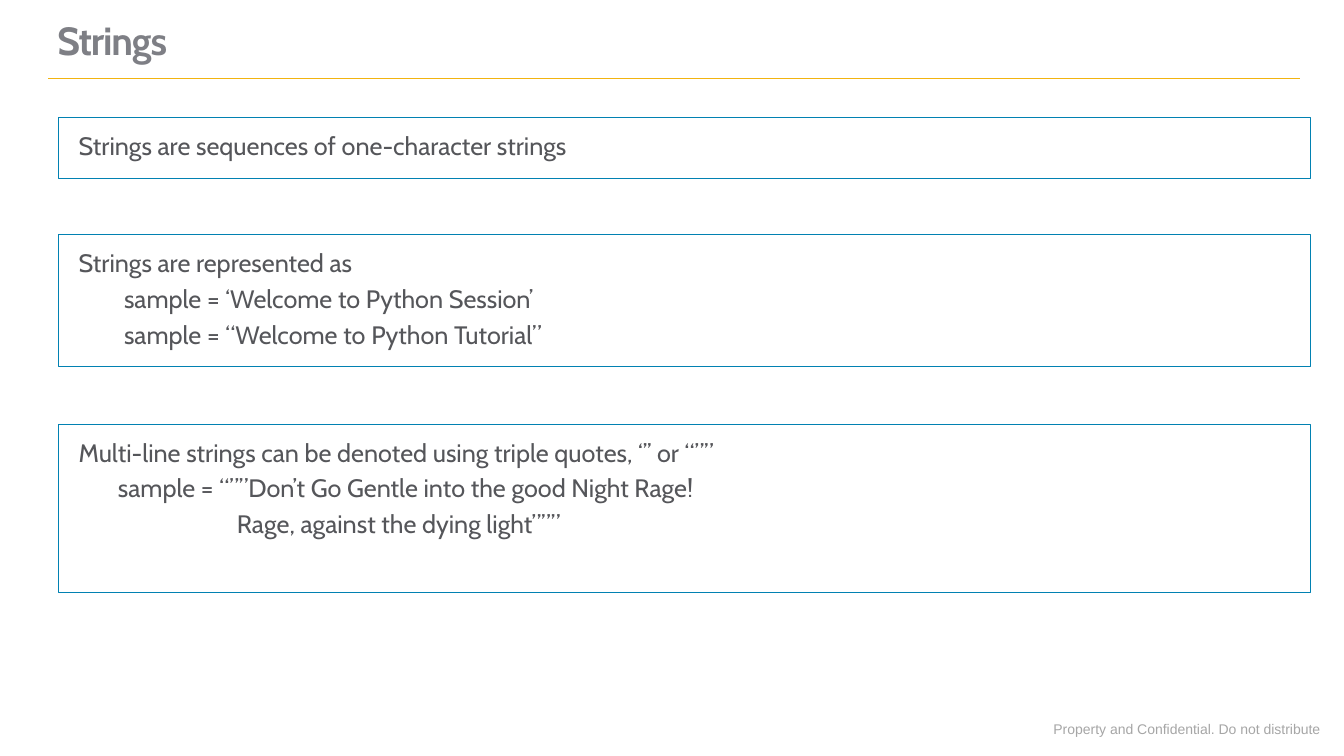
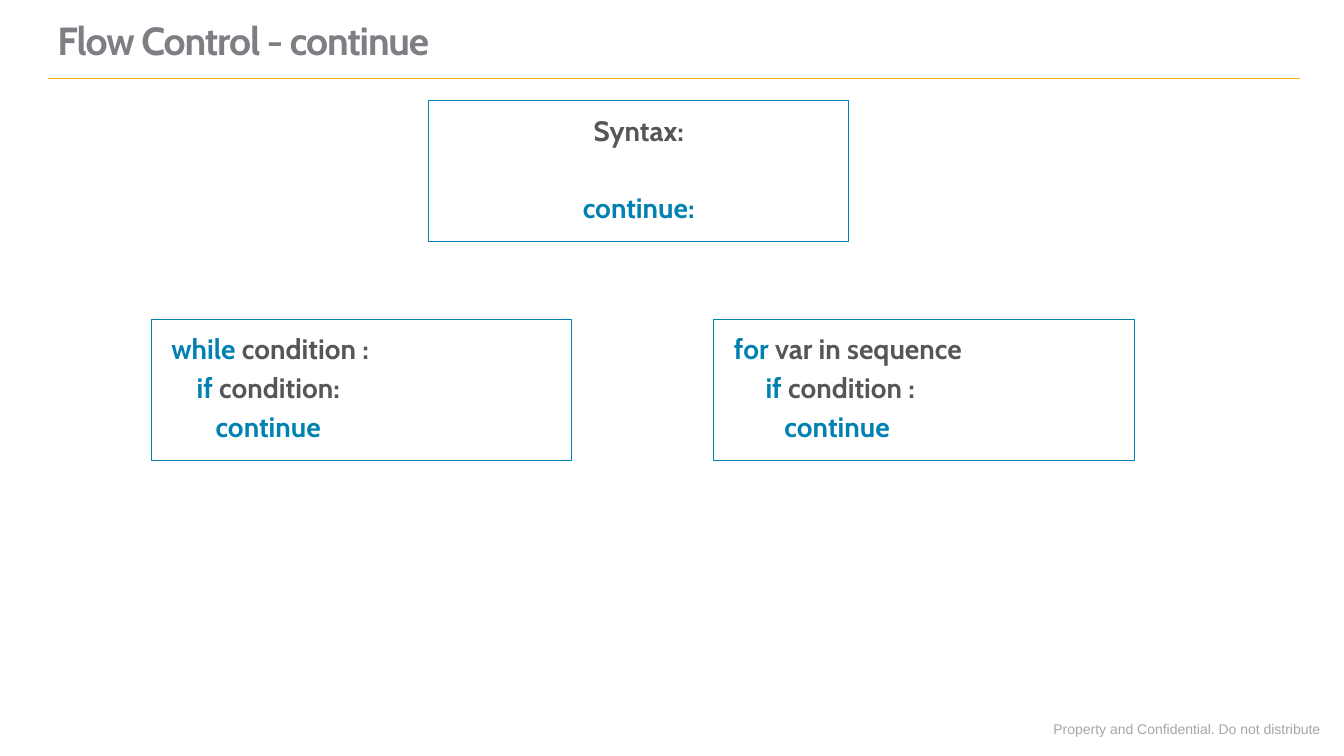
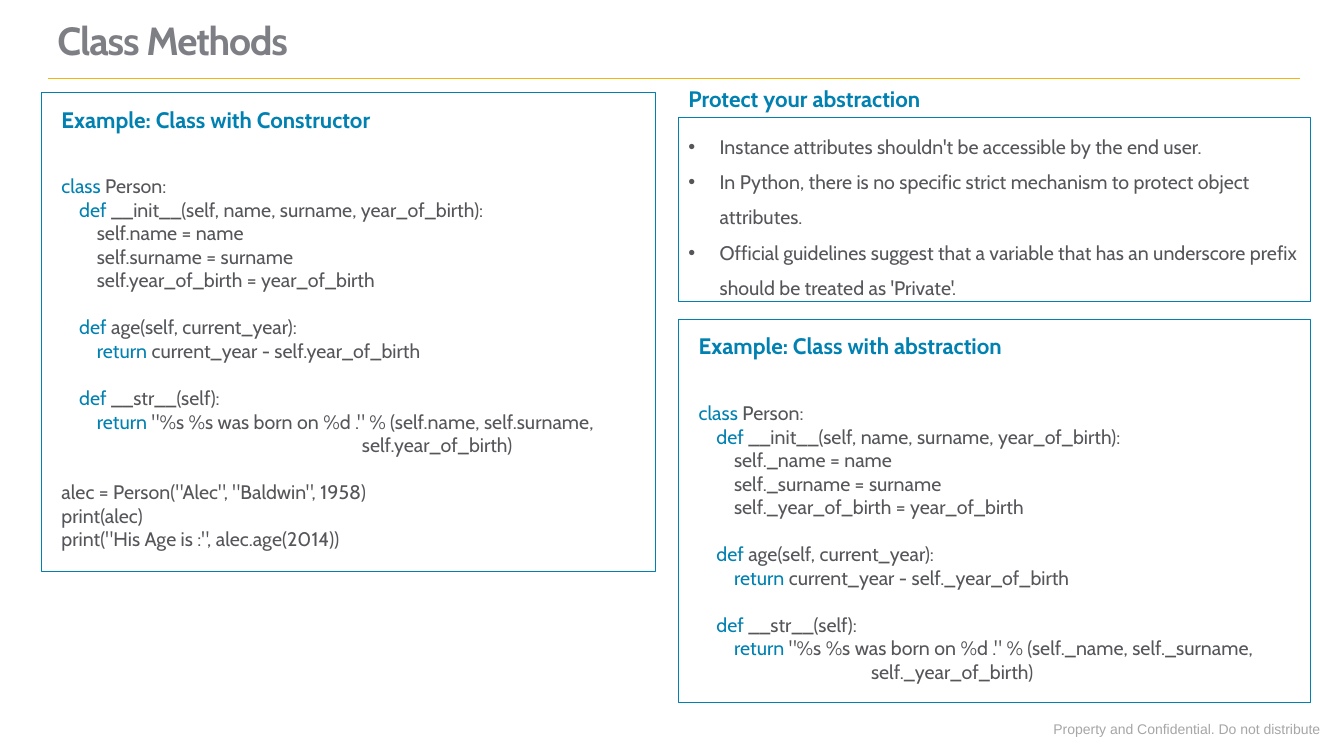
"""Build three Python training slides: strings, continue and class methods."""
from dataclasses import dataclass, replace

from lxml.etree import SubElement
from pptx import Presentation
from pptx.dml.color import RGBColor
from pptx.enum.shapes import MSO_CONNECTOR, MSO_SHAPE
from pptx.enum.text import MSO_ANCHOR, PP_ALIGN
from pptx.oxml.ns import qn
from pptx.util import Inches, Pt

BLUE = RGBColor(0x01, 0x81, 0xB2)
DARK = RGBColor(0x55, 0x56, 0x5A)
TITLE_GREY = RGBColor(0x7E, 0x7F, 0x85)
FOOTER_GREY = RGBColor(0xA6, 0xA6, 0xA6)
GOLD = RGBColor(0xF2, 0xB4, 0x11)

KEYWORDS = {"class", "def", "return", "while", "for", "if", "continue", "continue:"}
PANEL_INSETS = (0.2, 0.16)
TITLE_INSETS = (0.16, 0.1)
PLAIN_INSETS = (0.1, 0.05)
CODE_LINE = 16.8


@dataclass(frozen=True)
class Style:
    size: int
    color: RGBColor = DARK
    bold: bool = False
    spacing: float = 1.0
    before: float = 0
    after: float = 0
    indent: float = 0
    bullet: bool = False
    align: PP_ALIGN = PP_ALIGN.LEFT
    font: str = "Cabin"
    tracking: int = 0


TITLE = Style(28, TITLE_GREY, True, 0.9, tracking=-80)
FOOTER = Style(10, FOOTER_GREY, font="Arial")
BODY = Style(18, spacing=0.9, after=6)
SYNTAX = Style(20, bold=True, spacing=0.9, after=6, align=PP_ALIGN.CENTER)
SYNTAX_HEAD = replace(SYNTAX, after=33.5)
LOOP = replace(SYNTAX, align=PP_ALIGN.LEFT)
HEADING = Style(16, BLUE, True)
CODE_HEAD = replace(HEADING, spacing=0.9, after=29.4)
CODE = Style(14)
CODE_BLOCK = replace(CODE, before=CODE_LINE)
BULLET = Style(14, spacing=1.5, indent=0.31, bullet=True)


def person_class(prefix, wrap_indent):
    """Return the code lines of the Person class with the given attribute prefix."""
    name, surname, year = (f"self.{prefix}{field}" for field in ("name", "surname", "year_of_birth"))
    return [
        ("class Person:", CODE),
        ("    def __init__(self, name, surname, year_of_birth):", CODE),
        (f"        {name} = name", CODE),
        (f"        {surname} = surname", CODE),
        (f"        {year} = year_of_birth", CODE),
        ("    def age(self, current_year):", CODE_BLOCK),
        (f"        return current_year - {year}", CODE),
        ("    def __str__(self):", CODE_BLOCK),
        (f'        return "%s %s was born on %d ." % ({name}, {surname},', CODE),
        (f"{year})", replace(CODE, indent=wrap_indent)),
    ]


STRINGS = [
    (1.17, 0.6, [("Strings are sequences of one-character strings", BODY)]),
    (2.33, 1.31, [
        ("Strings are represented as", BODY),
        ("sample = ‘Welcome to Python Session’", replace(BODY, indent=0.45)),
        ("sample = “Welcome to Python Tutorial”", replace(BODY, indent=0.45)),
    ]),
    (4.21, 1.67, [
        ("Multi-line strings can be denoted using triple quotes, ‘’’ or “””", BODY),
        ("sample = “””Don’t Go Gentle into the good Night Rage!", replace(BODY, indent=0.39)),
        ("Rage, against the dying light”””", replace(BODY, indent=1.57)),
    ]),
]

CONTINUE = [
    (4.25, 1, [("Syntax:", SYNTAX_HEAD), ("continue:", SYNTAX)]),
    (1.5, 3.17, [
        ("while condition :", LOOP),
        ("    if condition:", LOOP),
        ("       continue", LOOP),
    ]),
    (7.08, 3.17, [
        ("for var in sequence", LOOP),
        ("     if condition :", LOOP),
        ("        continue", LOOP),
    ]),
]

CONSTRUCTOR = [
    ("Example: Class with Constructor", CODE_HEAD),
    *person_class("", 2.98),
    ('alec = Person("Alec", "Baldwin", 1958)', CODE_BLOCK),
    ("print(alec)", CODE),
    ('print("His Age is :", alec.age(2014))', CODE),
]
ABSTRACTION = [("Example: Class with abstraction", CODE_HEAD), *person_class("_", 1.71)]
GUIDELINES = [
    ("Instance attributes shouldn't be accessible by the end user.", BULLET),
    ("In Python, there is no specific strict mechanism to protect object attributes.", BULLET),
    ("Official guidelines suggest that a variable that has an underscore prefix "
     "should be treated as 'Private'.", BULLET),
]


def split_keyword(text, color):
    """Split a line into coloured parts, with a leading keyword in blue."""
    code = text.lstrip()
    word = code.split(" ")[0]
    if word not in KEYWORDS:
        return [(text, color)]
    lead = text[:len(text) - len(code)]
    parts = [(lead, color), (word, BLUE), (code[len(word):], color)]
    return [part for part in parts if part[0]]


def add_run(paragraph, text, color, style):
    run = paragraph.add_run()
    run.text = text
    run.font.name = style.font
    run.font.size = Pt(style.size)
    run.font.bold = style.bold
    run.font.color.rgb = color
    if style.tracking:
        run.font._element.set("spc", str(style.tracking))


def write(shape, lines, insets, anchor=MSO_ANCHOR.TOP, wrap=True):
    frame = shape.text_frame
    frame.word_wrap = wrap
    frame.vertical_anchor = anchor
    frame.margin_left = frame.margin_right = Inches(insets[0])
    frame.margin_top = frame.margin_bottom = Inches(insets[1])
    for index, (text, style) in enumerate(lines):
        paragraph = frame.add_paragraph() if index else frame.paragraphs[0]
        properties = paragraph._p.get_or_add_pPr()
        if style.indent:
            properties.set("marL", str(Inches(style.indent)))
        if style.bullet:
            properties.set("indent", str(-Inches(style.indent)))
            SubElement(properties, qn("a:buFont")).set("typeface", "Arial")
            SubElement(properties, qn("a:buChar")).set("char", "•")
        paragraph.alignment = style.align
        paragraph.line_spacing = style.spacing
        paragraph.space_before = Pt(style.before)
        paragraph.space_after = Pt(style.after)
        for part, color in split_keyword(text, style.color):
            add_run(paragraph, part, color, style)


def add_text(slide, place, text, style, insets=PLAIN_INSETS, **layout):
    box = slide.shapes.add_textbox(*map(Inches, place))
    write(box, [(text, style)], insets, **layout)


def add_panel(slide, place, lines, insets=PANEL_INSETS):
    panel = slide.shapes.add_shape(MSO_SHAPE.RECTANGLE, *map(Inches, place))
    panel.shadow.inherit = False
    panel.fill.background()
    panel.line.color.rgb = BLUE
    panel.line.width = Pt(0.75)
    write(panel, lines, insets)


def add_slide(deck, title):
    slide = deck.slides.add_slide(deck.slide_layouts[6])
    add_text(slide, (10.35, 7.1, 2.87, 0.27), "Property and Confidential. Do not distribute",
             FOOTER, wrap=False)
    rule = slide.shapes.add_connector(MSO_CONNECTOR.STRAIGHT, *map(Inches, (0.48, 0.78, 12.89, 0.78)))
    rule.line.color.rgb = GOLD
    rule.line.width = Pt(0.75)
    SubElement(rule._element.spPr, qn("a:effectLst"))
    add_text(slide, (0.41, 0, 10, 0.73), title, TITLE, TITLE_INSETS, anchor=MSO_ANCHOR.BOTTOM)
    return slide


def main():
    deck = Presentation()
    deck.slide_width, deck.slide_height = Inches(13.33), Inches(7.5)

    strings = add_slide(deck, "Strings")
    for top, height, lines in STRINGS:
        add_panel(strings, (0.58, top, 12.42, height), lines)

    flow = add_slide(deck, "Flow Control - continue")
    for left, top, lines in CONTINUE:
        add_panel(flow, (left, top, 4.17, 1.4), lines)

    methods = add_slide(deck, "Class Methods")
    add_panel(methods, (0.41, 0.92, 6.09, 4.75), CONSTRUCTOR)
    add_panel(methods, (6.73, 1.17, 6.27, 1.82), GUIDELINES, PLAIN_INSETS)
    add_text(methods, (6.73, 0.8, 2.58, 0.37), "Protect your abstraction", HEADING, wrap=False)
    add_panel(methods, (6.73, 3.17, 6.27, 3.8), ABSTRACTION)

    deck.save("out.pptx")


if __name__ == "__main__":
    main()
